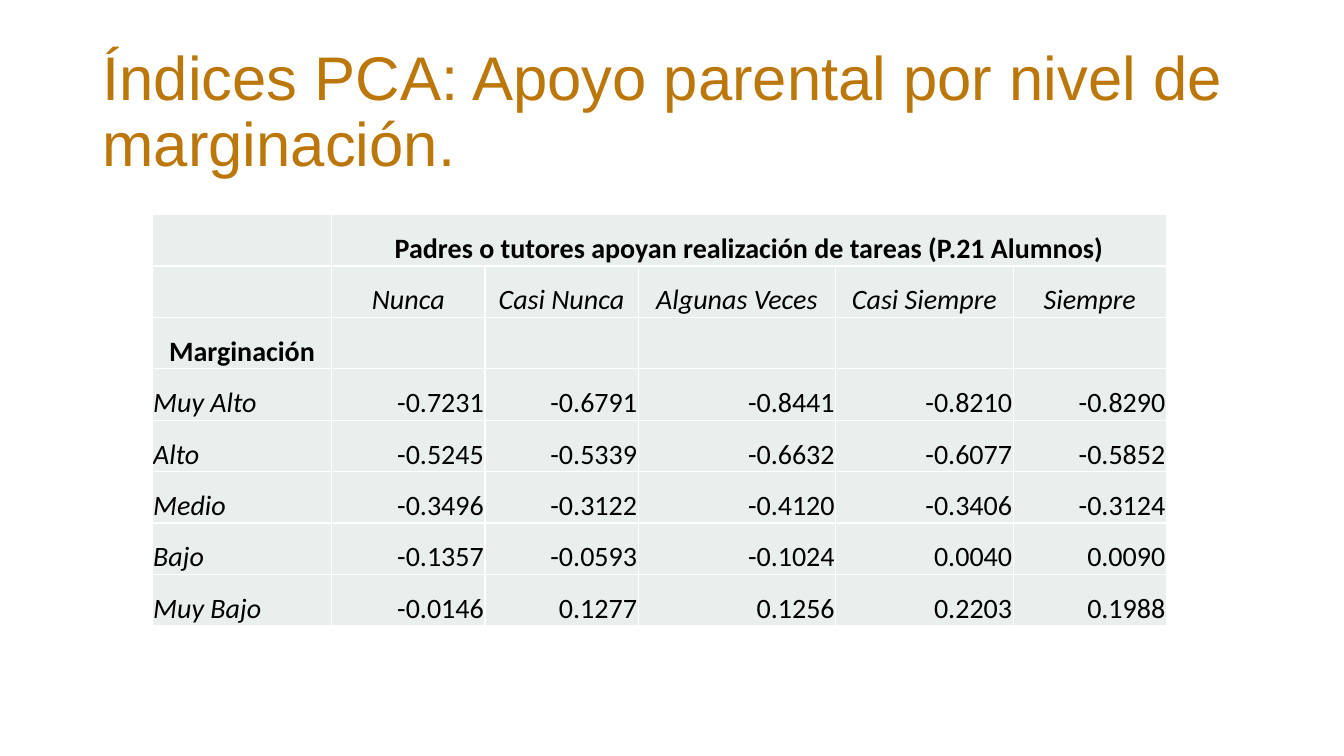
from dataclasses import dataclass

from lxml.etree import SubElement
from pptx import Presentation
from pptx.dml.color import RGBColor
from pptx.enum.text import MSO_ANCHOR as Anchor, PP_ALIGN as Align
from pptx.oxml.ns import qn
from pptx.slide import Slide
from pptx.table import Table, _Cell as Cell
from pptx.util import Inches, Pt

OCHRE = RGBColor(0xBC, 0x77, 0x0B)
MINT = RGBColor(0xE8, 0xEF, 0xEC)
WHITE = RGBColor(0xFF, 0xFF, 0xFF)
BLACK = RGBColor(0x00, 0x00, 0x00)

TITLE = "Índices PCA: Apoyo parental por nivel de marginación."
QUESTION = "Padres o tutores apoyan realización de tareas (P.21 Alumnos)"
FREQUENCIES = ["Nunca", "Casi Nunca", "Algunas Veces", "Casi Siempre", "Siempre"]
COLUMN_WIDTHS = [1.78, 1.52, 1.52, 1.96, 1.76, 1.52]
ROW_HEIGHT = 0.51


@dataclass(frozen=True)
class CellStyle:
    align: Align
    bold: bool = False
    italic: bool = False


@dataclass(frozen=True)
class Level:
    name: str
    indices: tuple[float, ...]


HEADING = CellStyle(Align.CENTER, bold=True)
FREQUENCY = CellStyle(Align.CENTER, italic=True)
LEVEL_NAME = CellStyle(Align.LEFT, italic=True)
INDEX = CellStyle(Align.RIGHT)

LEVELS = [
    Level("Muy Alto", (-0.7231, -0.6791, -0.8441, -0.8210, -0.8290)),
    Level("Alto", (-0.5245, -0.5339, -0.6632, -0.6077, -0.5852)),
    Level("Medio", (-0.3496, -0.3122, -0.4120, -0.3406, -0.3124)),
    Level("Bajo", (-0.1357, -0.0593, -0.1024, 0.0040, 0.0090)),
    Level("Muy Bajo", (-0.0146, 0.1277, 0.1256, 0.2203, 0.1988)),
]


def add_title(page: Slide) -> None:
    box = page.shapes.add_textbox(Inches(0.92), Inches(0.4), Inches(11.5), Inches(1.45))
    frame = box.text_frame
    frame.word_wrap = True
    frame.vertical_anchor = Anchor.MIDDLE
    para = frame.paragraphs[0]
    para.text = TITLE
    para.line_spacing = 0.9
    para.font.name = "Arial"
    para.font.size = Pt(44)
    para.font.color.rgb = OCHRE


def paint_cell(cell: Cell) -> None:
    properties = cell._tc.get_or_add_tcPr()
    for side in ("a:lnL", "a:lnR", "a:lnT", "a:lnB"):
        line = SubElement(properties, qn(side), w=str(Pt(1)))
        fill = SubElement(line, qn("a:solidFill"))
        SubElement(fill, qn("a:srgbClr"), val=str(WHITE))
    cell.fill.solid()
    cell.fill.fore_color.rgb = MINT


def write_cell(cell: Cell, text: str, style: CellStyle) -> None:
    cell.vertical_anchor = Anchor.BOTTOM
    cell.margin_left = cell.margin_right = cell.margin_top = Inches(0.01)
    cell.margin_bottom = 0
    para = cell.text_frame.paragraphs[0]
    para.text = text
    para.alignment = style.align
    para.font.name = "Calibri"
    para.font.size = Pt(20)
    para.font.bold = style.bold
    para.font.italic = style.italic
    para.font.color.rgb = BLACK


def add_grid(page: Slide) -> Table:
    row_count = len(LEVELS) + 3
    table = page.shapes.add_table(
        row_count, len(COLUMN_WIDTHS), Inches(1.51), Inches(2.13),
        Inches(sum(COLUMN_WIDTHS)), Inches(ROW_HEIGHT * row_count),
    ).table
    table.first_row = False
    table.horz_banding = False
    for column, width in zip(table.columns, COLUMN_WIDTHS):
        column.width = Inches(width)
    for row in table.rows:
        row.height = Inches(ROW_HEIGHT)
    for cell in table.iter_cells():
        paint_cell(cell)
    return table


def fill_table(table: Table) -> None:
    table.cell(0, 1).merge(table.cell(0, len(FREQUENCIES)))
    write_cell(table.cell(0, 1), QUESTION, HEADING)
    for column, frequency in enumerate(FREQUENCIES, start=1):
        write_cell(table.cell(1, column), frequency, FREQUENCY)
    write_cell(table.cell(2, 0), "Marginación", HEADING)
    for row, level in enumerate(LEVELS, start=3):
        write_cell(table.cell(row, 0), level.name, LEVEL_NAME)
        for column, index in enumerate(level.indices, start=1):
            write_cell(table.cell(row, column), f"{index:.4f}", INDEX)


def main() -> None:
    deck = Presentation()
    deck.slide_width = Inches(13.33)
    deck.slide_height = Inches(7.5)
    page = deck.slides.add_slide(deck.slide_layouts[6])
    add_title(page)
    fill_table(add_grid(page))
    deck.save("out.pptx")


if __name__ == "__main__":
    main()
